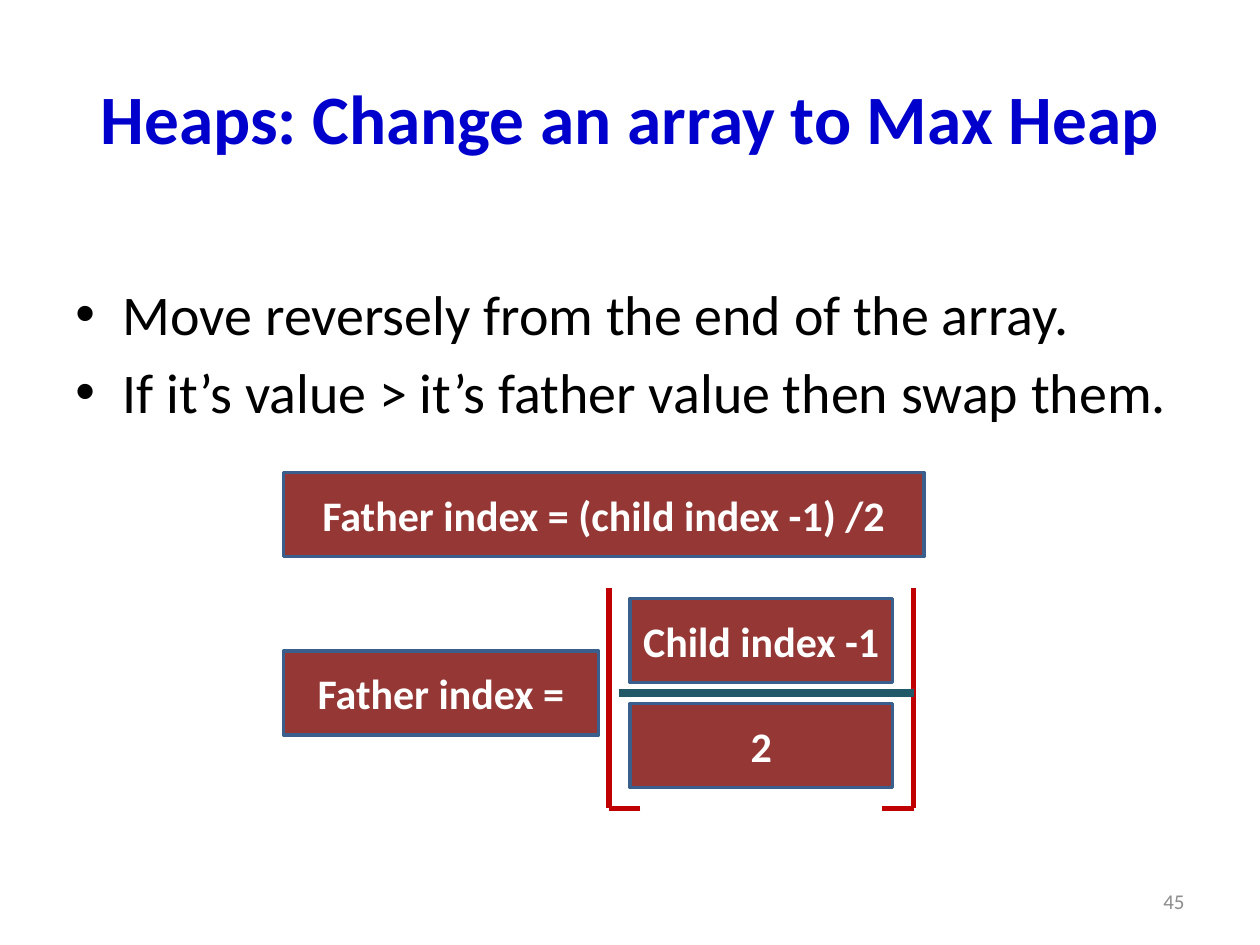
"""Build a slide on finding the father index in a max heap."""
import pptx
import pptx.util
import pptx.dml.color
import pptx.enum.shapes
import pptx.enum.text
import pptx.oxml.ns
import lxml.etree

Pt = pptx.util.Pt
Align = pptx.enum.text.PP_ALIGN
Anchor = pptx.enum.text.MSO_ANCHOR
COLORS = {
    "title": "0000CC",
    "body": "000000",
    "label": "FFFFFF",
    "number": "8C8C8C",
    "fill": "953735",
    "edge": "3A5F8C",
    "floor": "C00000",
    "bar": "215968",
}


def color(name):
    return pptx.dml.color.RGBColor.from_string(COLORS[name])


def bullet(para, indent):
    props = para._p.get_or_add_pPr()
    props.set("marL", str(Pt(indent)))
    props.set("indent", str(-Pt(indent)))
    for tag, key, value in (("a:buFont", "typeface", "Arial"), ("a:buChar", "char", "•")):
        lxml.etree.SubElement(props, pptx.oxml.ns.qn(tag)).set(key, value)


def write(frame, text, size, tint, bold=False, align=Align.LEFT,
          anchor=Anchor.MIDDLE, indent=0, before=0):
    frame.word_wrap = True
    frame.vertical_anchor = anchor
    for num, line in enumerate(text.split("\n")):
        para = frame.add_paragraph() if num else frame.paragraphs[0]
        para.alignment = align
        para.space_before = Pt(before)
        if indent:
            bullet(para, indent)
        run = para.add_run()
        run.text = line
        font = run.font
        font.name, font.size, font.bold = "Calibri", Pt(size), bold
        font.color.rgb = color(tint)


def label(slide, text, left, top, width, height, **style):
    box = slide.shapes.add_textbox(Pt(left), Pt(top), Pt(width), Pt(height))
    write(box.text_frame, text, **style)


def block(slide, text, left, top, width, height=48):
    rect = slide.shapes.add_shape(
        pptx.enum.shapes.MSO_SHAPE.RECTANGLE, Pt(left), Pt(top), Pt(width), Pt(height))
    rect.shadow.inherit = False
    rect.fill.solid()
    rect.fill.fore_color.rgb = color("fill")
    rect.line.color.rgb = color("edge")
    rect.line.width = Pt(2)
    frame = rect.text_frame
    frame.margin_left = frame.margin_right = Pt(3.6)
    write(frame, text, size=24, tint="label", bold=True, align=Align.CENTER)


def rule(slide, start, end, tint, width):
    line = slide.shapes.add_connector(
        pptx.enum.shapes.MSO_CONNECTOR.STRAIGHT, *map(Pt, start + end))
    line.line.color.rgb = color(tint)
    line.line.width = Pt(width)
    lxml.etree.SubElement(line._element.spPr, pptx.oxml.ns.qn("a:effectLst"))


def floor(slide, left, right, top, base, foot=18):
    for side, tip in ((left, left + foot), (right, right - foot)):
        rule(slide, (side, top), (side, base), "floor", 3)
        rule(slide, (tip, base), (side, base), "floor", 3)


def main():
    deck = pptx.Presentation()
    deck.slide_width, deck.slide_height = Pt(720), Pt(540)
    slide = deck.slides.add_slide(deck.slide_layouts[6])
    label(slide, "Heaps: Change an array to Max Heap", 36, 21.6, 648, 90,
          size=39.6, tint="title", bold=True, align=Align.CENTER)
    label(slide, "Move reversely from the end of the array.\n"
          "If it’s value > it’s father value then swap them.", 36, 156, 648, 96,
          size=32, tint="body", anchor=Anchor.TOP, indent=27, before=6.4)
    block(slide, "Father index =", 162, 372, 180)
    block(slide, "Child index -1", 360, 342, 150)
    block(slide, "2", 360, 402, 150)
    floor(slide, 348, 522, 336, 462)
    rule(slide, (354, 396), (522, 396), "bar", 4.5)
    block(slide, "Father index = (child index -1) /2", 162, 270, 366)
    label(slide, "45", 516, 500.5, 168, 28.8,
          size=12, tint="number", align=Align.RIGHT)
    deck.save("out.pptx")


if __name__ == "__main__":
    main()
